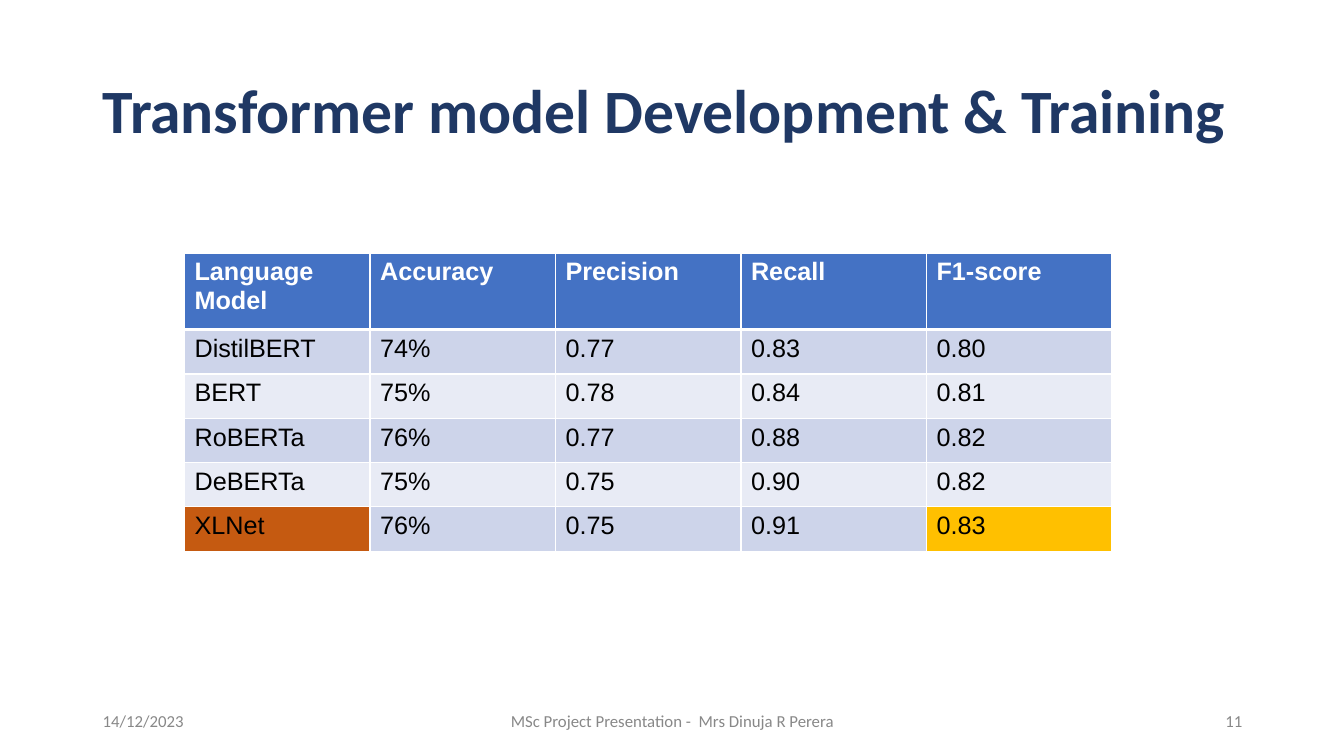
from lxml import etree
from pptx import Presentation
from pptx import util as u
from pptx.dml.color import RGBColor
from pptx.enum import text
from pptx.oxml.ns import qn


def rgb(color):
    return RGBColor.from_string(color)


class Deck:
    """Holds the style and the current slide."""
    HEAD_FONT, TABLE_FONT = "Calibri", "Arial"
    NAVY, GREY, WHITE, BLACK = "1F3864", "888888", "FFFFFF", "000000"
    HEADER, BANDS = "4472C4", ("CDD4EA", "E8EBF5")

    def __init__(self, prs):
        self.s = prs.slides.add_slide(prs.slide_layouts[6])

    def run(self, p, words, font, size, color, bold=False):
        r = p.add_run()
        r.text = words
        r.font.name, r.font.size, r.font.bold = font, u.Pt(size), bold
        r.font.color.rgb = rgb(color)

    def label(self, words, x, y, w, h, size, color, align="LEFT", bold=False):
        tf = self.s.shapes.add_textbox(
            u.Inches(x), u.Inches(y), u.Inches(w), u.Inches(h)).text_frame
        tf.word_wrap = True
        tf.vertical_anchor = text.MSO_ANCHOR.MIDDLE
        p = tf.paragraphs[0]
        p.alignment = text.PP_ALIGN[align]
        self.run(p, words, self.HEAD_FONT, size, color, bold)
        return p

    def border(self, cell, side, width):
        ln = etree.SubElement(cell._tc.get_or_add_tcPr(), qn("a:" + side), w=str(u.Pt(width)))
        fill = etree.SubElement(ln, qn("a:solidFill"))
        etree.SubElement(fill, qn("a:srgbClr"), val=self.WHITE)

    def table(self, rows, x, y, col_w, head_h, row_h, marks):
        n, m = len(rows), len(rows[0])
        table = self.s.shapes.add_table(
            n, m, u.Inches(x), u.Inches(y), u.Inches(col_w * m),
            u.Inches(head_h + row_h * (n - 1))).table
        for col in table.columns:
            col.width = u.Inches(col_w)
        for i, values in enumerate(rows):
            head = i == 0
            table.rows[i].height = u.Inches(head_h if head else row_h)
            band = self.HEADER if head else self.BANDS[(i - 1) % 2]
            for j, value in enumerate(values):
                cell = table.cell(i, j)
                # Borders come before the fill in the cell properties
                for side in ("lnL", "lnR", "lnT", "lnB"):
                    rule = (i, side) in ((0, "lnB"), (1, "lnT"))
                    self.border(cell, side, 3 if rule else 1)
                cell.fill.solid()
                cell.fill.fore_color.rgb = rgb(marks.get((i, j), band))
                self.run(cell.text_frame.paragraphs[0], value, self.TABLE_FONT,
                         18, self.WHITE if head else self.BLACK, head)


def main():
    prs = Presentation()
    prs.slide_width, prs.slide_height = u.Inches(13.33), u.Inches(7.5)
    deck = Deck(prs)

    # Title
    title = deck.label("Transformer model Development & Training",
                       0.92, 0.4, 11.5, 1.45, 44, deck.NAVY, bold=True)
    title.line_spacing = 0.9

    # Model scores, with the best model and its F1-score marked
    scores = [
        ("Language Model", "Accuracy", "Precision", "Recall", "F1-score"),
        ("DistilBERT", "74%", "0.77", "0.83", "0.80"),
        ("BERT", "75%", "0.78", "0.84", "0.81"),
        ("RoBERTa", "76%", "0.77", "0.88", "0.82"),
        ("DeBERTa", "75%", "0.75", "0.90", "0.82"),
        ("XLNet", "76%", "0.75", "0.91", "0.83"),
    ]
    deck.table(scores, 1.83, 2.51, 1.84, 0.76, 0.44,
               {(5, 0): "C55A11", (5, 4): "FFC000"})

    # Footer
    for words, x, w, align in (
            ("14/12/2023", 0.92, 3, "LEFT"),
            ("MSc Project Presentation -  Mrs Dinuja R Perera", 4.42, 4.5, "CENTER"),
            ("11", 9.42, 3, "RIGHT")):
        deck.label(words, x, 6.95, w, 0.4, 12, deck.GREY, align)

    prs.save("out.pptx")


if __name__ == "__main__":
    main()
